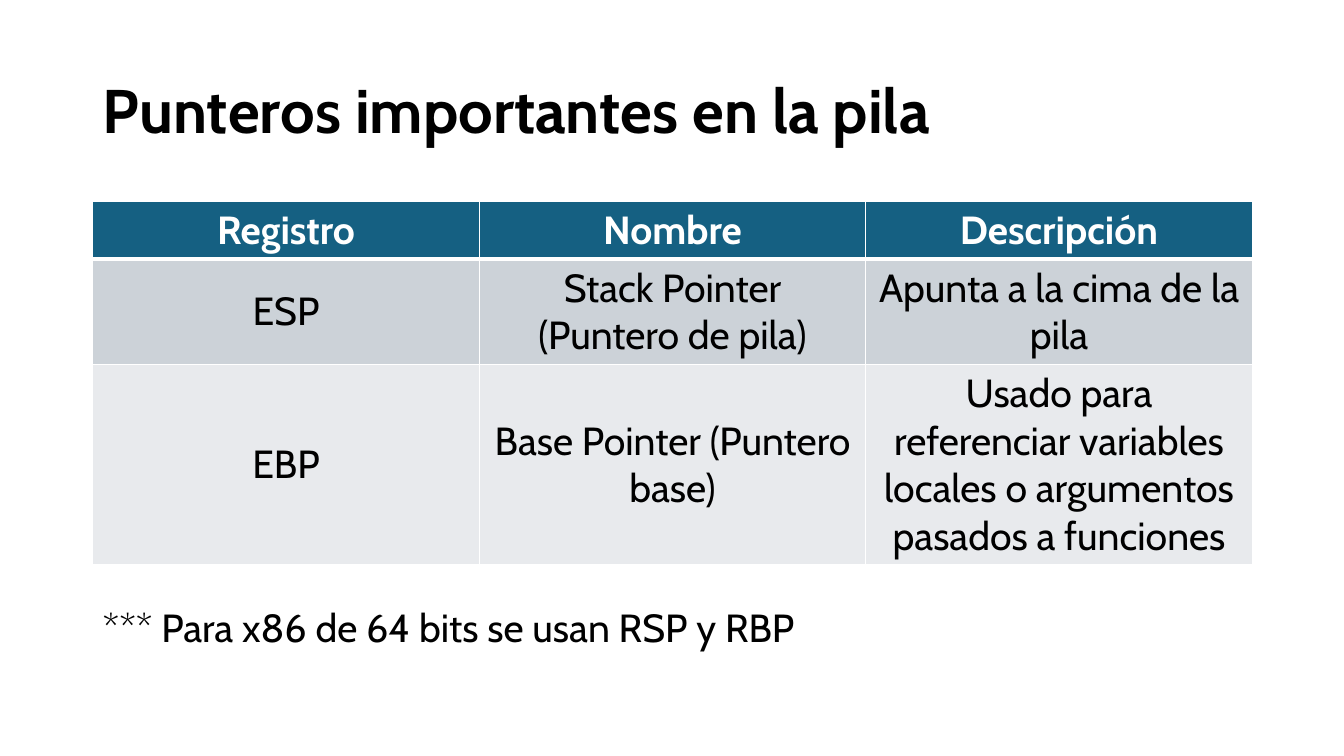
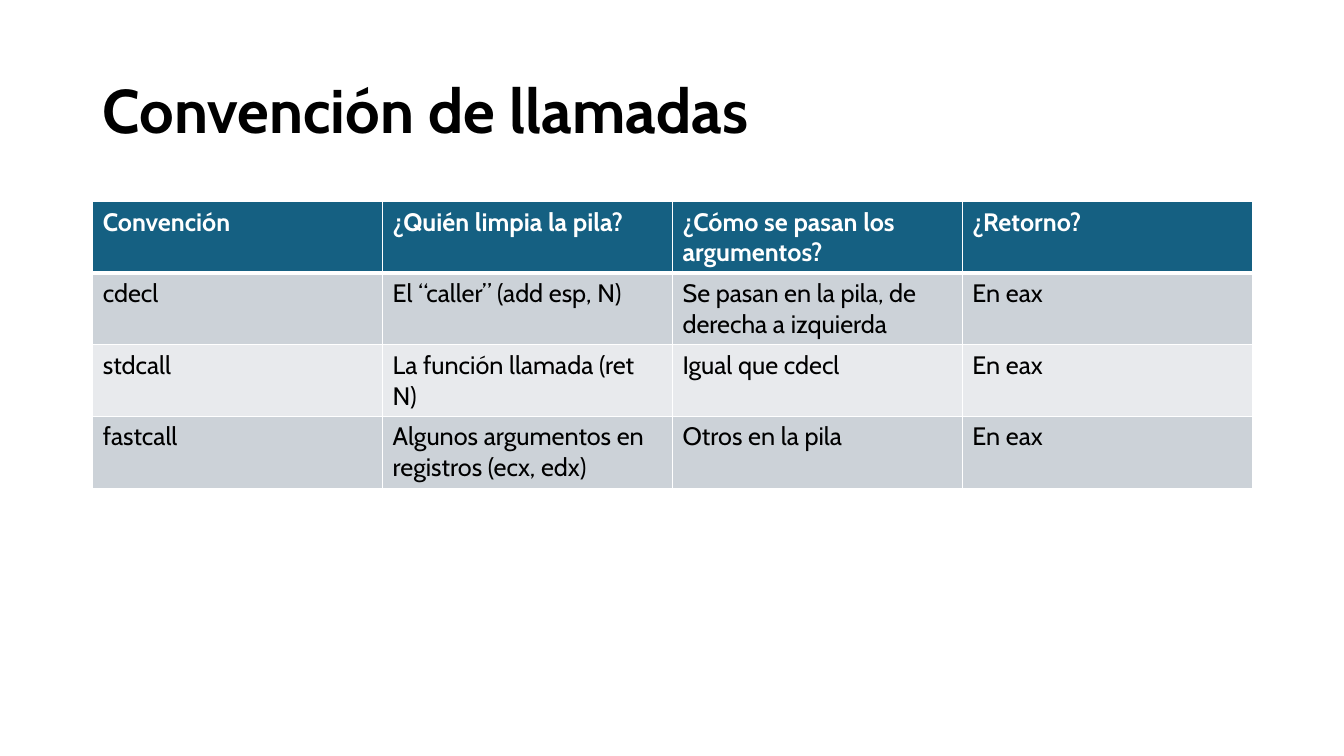
from dataclasses import dataclass

from lxml.etree import SubElement
from pptx import Presentation
from pptx.dml.color import RGBColor
from pptx.enum.text import MSO_ANCHOR, MSO_AUTO_SIZE, PP_ALIGN
from pptx.oxml.ns import qn
from pptx.util import Inches, Pt

SLIDES = [
    {
        "title": "Punteros importantes en la pila",
        "rows": [
            ("Registro", "Nombre", "Descripción"),
            ("ESP", "Stack Pointer (Puntero de pila)", "Apunta a la cima de la pila"),
            (
                "EBP",
                "Base Pointer (Puntero base)",
                "Usado para referenciar variables locales o argumentos pasados a funciones",
            ),
        ],
        "size": 28,
        "align": PP_ALIGN.CENTER,
        "body_anchor": MSO_ANCHOR.MIDDLE,
        "note": "*** Para x86 de 64 bits se usan RSP y RBP",
    },
    {
        "title": "Convención de llamadas",
        "rows": [
            ("Convención", "¿Quién limpia la pila?", "¿Cómo se pasan los argumentos?", "¿Retorno?"),
            ("cdecl", "El “caller” (add esp, N)", "Se pasan en la pila, de derecha a izquierda", "En eax"),
            ("stdcall", "La función llamada (ret N)", "Igual que cdecl", "En eax"),
            ("fastcall", "Algunos argumentos en registros (ecx, edx)", "Otros en la pila", "En eax"),
        ],
        "size": 18,
        "align": PP_ALIGN.LEFT,
        "body_anchor": MSO_ANCHOR.TOP,
    },
]


@dataclass(frozen=True)
class Theme:
    font: str = "Cabin"
    text: str = "000000"
    light: str = "FFFFFF"
    header: str = "156082"
    bands: tuple = ("CCD2D8", "E8EAED")
    title_size: int = 44
    note_size: int = 28
    thin: int = 1
    thick: int = 3


THEME = Theme()
WIDTH, HEIGHT = Inches(13.33), Inches(7.5)
MARGIN = Inches(0.92)
CONTENT_WIDTH = Inches(11.5)
TITLE_TOP, TITLE_HEIGHT = Inches(0.4), Inches(1.45)
TABLE_TOP, ROW_HEIGHT = Inches(2), Inches(0.41)
NOTE_TOP, NOTE_WIDTH, NOTE_HEIGHT = Inches(5.94), Inches(11.03), Inches(0.57)


def write(frame, text, *, size, color=THEME.text, bold=False,
          align=PP_ALIGN.LEFT, anchor=MSO_ANCHOR.TOP, spacing=None):
    frame.word_wrap = True
    frame.vertical_anchor = anchor
    paragraph = frame.paragraphs[0]
    paragraph.alignment = align
    paragraph.line_spacing = spacing
    run = paragraph.add_run()
    run.text = text
    run.font.name = THEME.font
    run.font.size = Pt(size)
    run.font.bold = bold
    run.font.color.rgb = RGBColor.from_string(color)


def set_borders(cell, top, bottom):
    properties = cell._tc.get_or_add_tcPr()
    widths = {"lnL": THEME.thin, "lnR": THEME.thin, "lnT": top, "lnB": bottom}
    for position, (side, width) in enumerate(widths.items()):
        line = SubElement(properties, qn(f"a:{side}"), w=str(Pt(width)))
        fill = SubElement(line, qn("a:solidFill"))
        SubElement(fill, qn("a:srgbClr"), val=THEME.light)
        properties.insert(position, line)


def add_title(slide, text):
    title = slide.shapes.title
    title.left, title.top = MARGIN, TITLE_TOP
    title.width, title.height = CONTENT_WIDTH, TITLE_HEIGHT
    title.text_frame.auto_size = MSO_AUTO_SIZE.NONE
    write(title.text_frame, text, size=THEME.title_size, bold=True,
          anchor=MSO_ANCHOR.MIDDLE, spacing=0.9)


def add_table(slide, rows, size, align, body_anchor):
    table = slide.shapes.add_table(
        len(rows), len(rows[0]), MARGIN, TABLE_TOP, CONTENT_WIDTH, ROW_HEIGHT * len(rows)
    ).table
    for row_index, row in enumerate(rows):
        is_header = row_index == 0
        color = THEME.header if is_header else THEME.bands[(row_index - 1) % 2]
        for column_index, text in enumerate(row):
            cell = table.cell(row_index, column_index)
            cell.fill.solid()
            cell.fill.fore_color.rgb = RGBColor.from_string(color)
            set_borders(
                cell,
                top=THEME.thick if row_index == 1 else THEME.thin,
                bottom=THEME.thick if is_header else THEME.thin,
            )
            write(cell.text_frame, text, size=size, bold=is_header, align=align,
                  color=THEME.light if is_header else THEME.text)
            cell.vertical_anchor = MSO_ANCHOR.TOP if is_header else body_anchor


def add_note(slide, text):
    note = slide.shapes.add_textbox(MARGIN, NOTE_TOP, NOTE_WIDTH, NOTE_HEIGHT)
    note.text_frame.auto_size = MSO_AUTO_SIZE.SHAPE_TO_FIT_TEXT
    write(note.text_frame, text, size=THEME.note_size)


def main():
    presentation = Presentation()
    presentation.slide_width, presentation.slide_height = WIDTH, HEIGHT
    title_only = presentation.slide_layouts.get_by_name("Title Only")
    for content in SLIDES:
        slide = presentation.slides.add_slide(title_only)
        add_title(slide, content["title"])
        add_table(slide, content["rows"], content["size"], content["align"], content["body_anchor"])
        if "note" in content:
            add_note(slide, content["note"])
    presentation.save("out.pptx")


if __name__ == "__main__":
    main()
